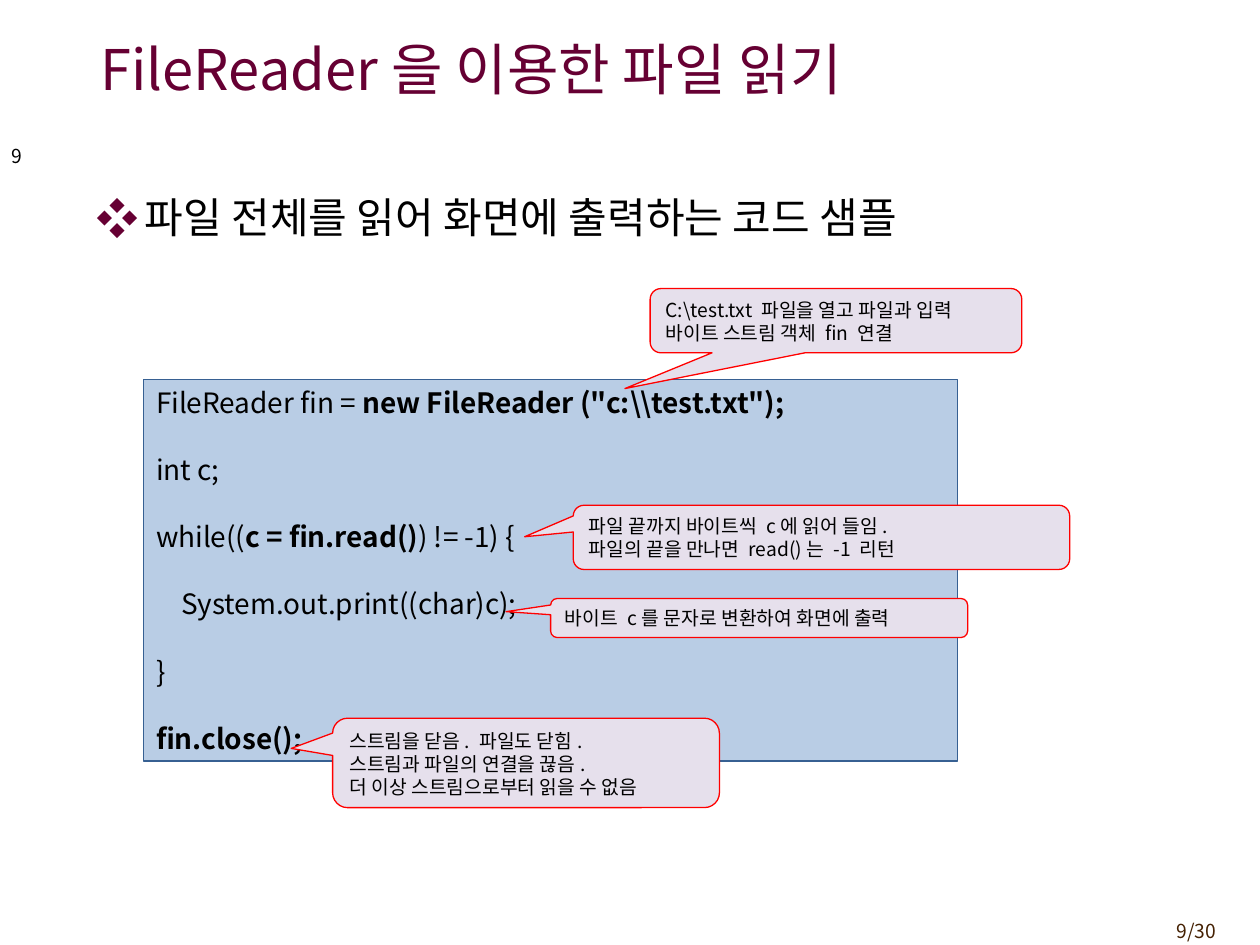
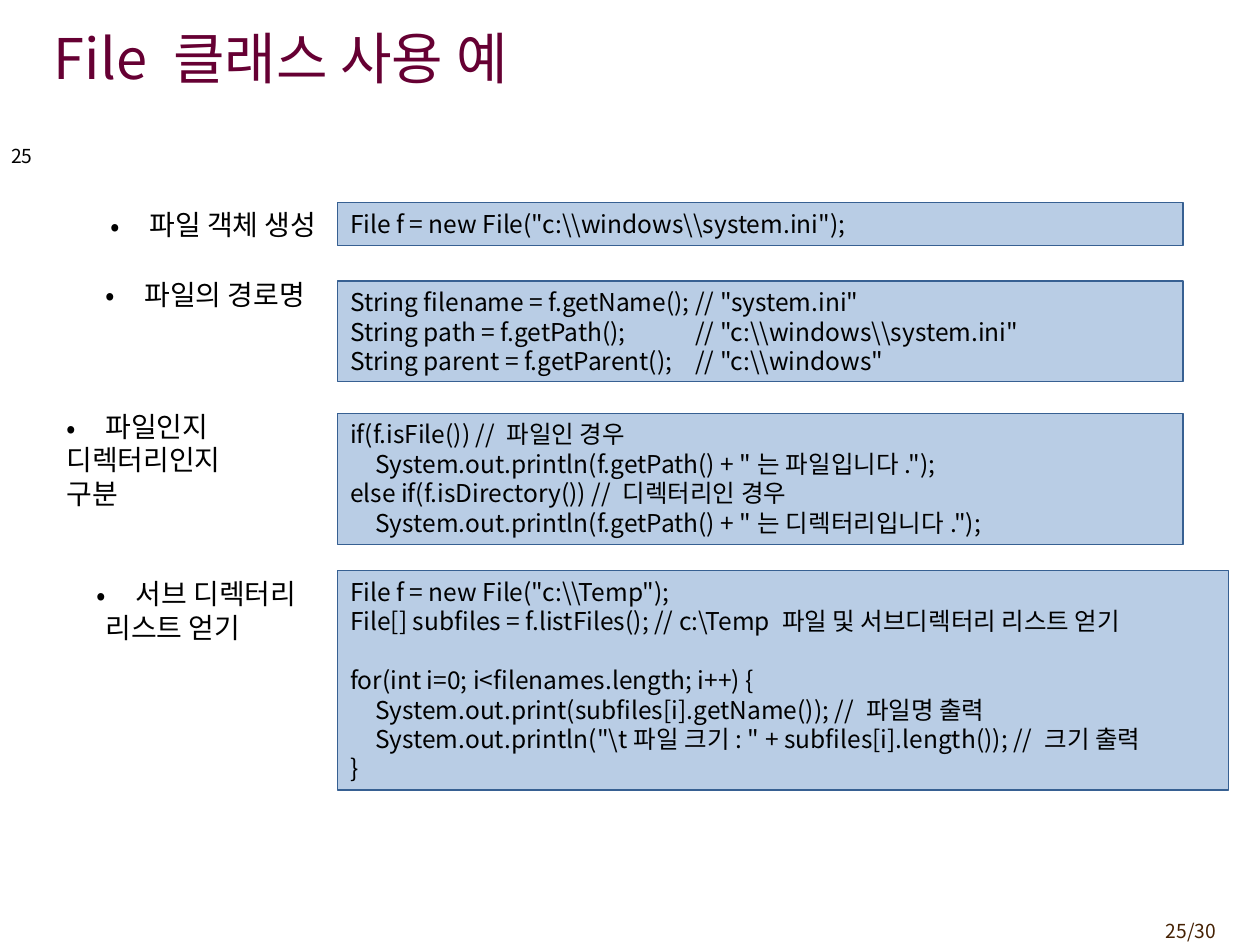
from lxml import etree
from pptx import Presentation
from pptx import util as u
from pptx.dml.color import RGBColor
from pptx.enum import shapes, text
from pptx.oxml.ns import qn

FONT = "Noto Sans CJK KR"
WINE, BROWN, BLACK = "660033", "452103", "000000"
CODE_FILL, CODE_LINE = "B9CDE5", "376092"
NOTE_FILL, NOTE_LINE = "E6E0EC", "FF0000"
PAGE_COUNT = 30
LINE_HEIGHT = 1.2
CODE_TABS = (0.2, 2.74)


def color(value):
    return RGBColor.from_string(value)


def add_bullet(para, char, fill, indent):
    props = para._p.get_or_add_pPr()
    props.set("marL", str(u.Inches(indent)))
    props.set("indent", str(-u.Inches(indent)))
    bullet_color = etree.SubElement(props, qn("a:buClr"))
    etree.SubElement(bullet_color, qn("a:srgbClr"), val=fill)
    etree.SubElement(props, qn("a:buFont"), typeface=FONT)
    etree.SubElement(props, qn("a:buChar"), char=char)


def add_tabs(para, stops):
    tabs = etree.SubElement(para._p.get_or_add_pPr(), qn("a:tabLst"))
    for stop in stops:
        etree.SubElement(tabs, qn("a:tab"), pos=str(u.Inches(stop)), algn="l")


class SlideBuilder:
    def __init__(self):
        self.deck = Presentation()
        self.deck.slide_width, self.deck.slide_height = u.Inches(10), u.Inches(7.5)
        self.page = None

    def new_page(self, number, title, left, top):
        self.page = self.deck.slides.add_slide(self.deck.slide_layouts[6])
        self.label(8.92, 7.25, 0.83, 0.29, f"{number}/{PAGE_COUNT}", 11, BROWN,
                   align=text.PP_ALIGN.RIGHT)
        self.label(-0.01, 1.13, 0.58, 0.27, str(number), 11, spacing=0.8 * LINE_HEIGHT)
        self.label(left, top, 8.92, 0.74, title, 32, WINE,
                   anchor=text.MSO_ANCHOR.MIDDLE)

    def style(self, para, size, fill=BLACK, spacing=LINE_HEIGHT):
        """Set font and line height; call after bullets and tabs are added."""
        para.line_spacing = u.Pt(size * spacing)
        para.font.size, para.font.name = u.Pt(size), FONT
        para.font.color.rgb = color(fill)
        defaults = para._p.pPr.find(qn("a:defRPr"))
        etree.SubElement(defaults, qn("a:ea"), typeface=FONT)

    def text_box(self, left, top, width, height):
        box = self.page.shapes.add_textbox(*map(u.Inches, (left, top, width, height)))
        box.text_frame.word_wrap = True
        return box.text_frame

    def label(self, left, top, width, height, words, size, fill=BLACK,
              align=text.PP_ALIGN.LEFT, anchor=text.MSO_ANCHOR.TOP,
              spacing=LINE_HEIGHT):
        frame = self.text_box(left, top, width, height)
        frame.vertical_anchor = anchor
        para = frame.paragraphs[0]
        para.text, para.alignment = words, align
        self.style(para, size, fill, spacing)

    def bullet_label(self, left, top, width, height, lines, size=16, char="•",
                     fill=BLACK, indent=0.31, rest_indent=0):
        """Bullet on the first line; the other lines start at rest_indent."""
        frame = self.text_box(left, top, width, height)
        for index, line in enumerate(lines):
            para = frame.paragraphs[0] if index == 0 else frame.add_paragraph()
            para.text = line
            if index == 0:
                add_bullet(para, char, fill, indent)
            else:
                para._p.get_or_add_pPr().set("marL", str(u.Inches(rest_indent)))
            self.style(para, size)

    def panel(self, kind, bounds, fill, line):
        shape = self.page.shapes.add_shape(kind, *map(u.Inches, bounds))
        shape.shadow.inherit = False
        shape.fill.solid()
        shape.fill.fore_color.rgb = color(fill)
        shape.line.color.rgb = color(line)
        shape.line.width = u.Pt(0.75)
        shape.text_frame.word_wrap = True
        shape.text_frame.vertical_anchor = text.MSO_ANCHOR.TOP
        return shape

    def write_lines(self, frame, lines, size, tabs=(), gaps=()):
        """Each line is a list of spans, bold at odd places; gaps are the
        line indexes that have one empty line of space before them."""
        for index, spans in enumerate(lines):
            para = frame.paragraphs[0] if index == 0 else frame.add_paragraph()
            para.alignment = text.PP_ALIGN.LEFT
            if tabs:
                add_tabs(para, tabs)
            if index in gaps:
                para.space_before = u.Pt(size * LINE_HEIGHT)
            self.style(para, size)
            for place, words in enumerate(spans):
                if words:
                    span = para.add_run()
                    span.text = words
                    if place % 2:
                        span.font.bold = True

    def code(self, left, top, width, height, lines, size=14, gaps=()):
        box = self.panel(shapes.MSO_SHAPE.RECTANGLE, (left, top, width, height),
                         CODE_FILL, CODE_LINE)
        self.write_lines(box.text_frame, lines, size, CODE_TABS, gaps)

    def callout(self, left, top, width, height, tip, lines):
        """tip is the pointer's offset from the centre, in widths and heights."""
        box = self.panel(shapes.MSO_SHAPE.ROUNDED_RECTANGULAR_CALLOUT,
                         (left, top, width, height), NOTE_FILL, NOTE_LINE)
        box.adjustments[0], box.adjustments[1] = tip
        box.adjustments[2] = 0.167
        self.write_lines(box.text_frame, [[line] for line in lines], 11)


def build_reader_page(builder):
    builder.new_page(9, "FileReader을 이용한 파일 읽기", 0.7, 0.17)
    builder.bullet_label(0.67, 1.47, 8.92, 0.6,
                         ["파일 전체를 읽어 화면에 출력하는 코드 샘플"],
                         size=24, char="❖", fill=WINE, indent=0.38)
    code_lines = [
        ["FileReader fin = ", 'new FileReader ("c:\\\\test.txt");'],
        ["int c;"],
        ["while((", "c = fin.read()", ") != -1) {"],
        ["\tSystem.out.print((char)c);"],
        ["}"],
        ["", "fin.close();"],
    ]
    builder.code(1.14, 3.01, 6.46, 3.03, code_lines, size=16,
                 gaps=range(1, len(code_lines)))
    callouts = [
        (5.16, 2.29, 2.95, 0.51, (-0.568, 1.057),
         ["C:\\test.txt 파일을 열고 파일과 입력", "바이트 스트림 객체 fin 연결"]),
        (4.55, 4.01, 3.94, 0.51, (-0.598, -0.009),
         ["파일 끝까지 바이트씩 c에 읽어 들임.", "파일의 끝을 만나면 read()는 -1 리턴"]),
        (4.37, 4.75, 3.31, 0.31, (-0.607, -0.163),
         ["바이트 c를 문자로 변환하여 화면에 출력"]),
        (2.64, 5.7, 3.07, 0.71, (-0.607, -0.162),
         ["스트림을 닫음. 파일도 닫힘.", "스트림과 파일의 연결을 끊음.",
          "더 이상 스트림으로부터 읽을 수 없음"]),
    ]
    for callout in callouts:
        builder.callout(*callout)


def build_file_page(builder):
    builder.new_page(25, "File 클래스 사용 예", 0.33, 0.08)
    builder.bullet_label(0.78, 1.6, 1.86, 0.37, ["파일 객체 생성"])
    builder.bullet_label(0.74, 2.15, 1.8, 0.37, ["파일의 경로명"])
    builder.bullet_label(0.43, 3.2, 2.05, 0.9, ["파일인지", "디렉터리인지", "구분"])
    builder.bullet_label(0.67, 4.53, 1.97, 0.64, ["서브 디렉터리", "리스트 얻기"],
                         rest_indent=0.07)
    examples = [
        (1.61, 6.71, 0.34, ['File f = new File("c:\\\\windows\\\\system.ini");']),
        (2.23, 6.71, 0.8, [
            'String filename = f.getName();\t// "system.ini"',
            'String path = f.getPath();\t// "c:\\\\windows\\\\system.ini"',
            'String parent = f.getParent();\t// "c:\\\\windows"']),
        (3.28, 6.71, 1.04, [
            "if(f.isFile()) // 파일인 경우",
            '\tSystem.out.println(f.getPath() + "는 파일입니다.");',
            "else if(f.isDirectory()) // 디렉터리인 경우",
            '\tSystem.out.println(f.getPath() + "는 디렉터리입니다.");']),
        (4.53, 7.07, 1.74, [
            'File f = new File("c:\\\\Temp");',
            "File[] subfiles = f.listFiles(); // c:\\Temp 파일 및 서브디렉터리 리스트 얻기",
            "for(int i=0; i<filenames.length; i++) {",
            "\tSystem.out.print(subfiles[i].getName()); // 파일명 출력",
            '\tSystem.out.println("\\t파일 크기: " + subfiles[i].length()); // 크기 출력',
            "}"]),
    ]
    for top, width, height, lines in examples:
        gaps = [i for i, line in enumerate(lines) if line.startswith("for(")]
        builder.code(2.68, top, width, height, [[line] for line in lines], gaps=gaps)


def main():
    builder = SlideBuilder()
    build_reader_page(builder)
    build_file_page(builder)
    builder.deck.save("out.pptx")


if __name__ == "__main__":
    main()
